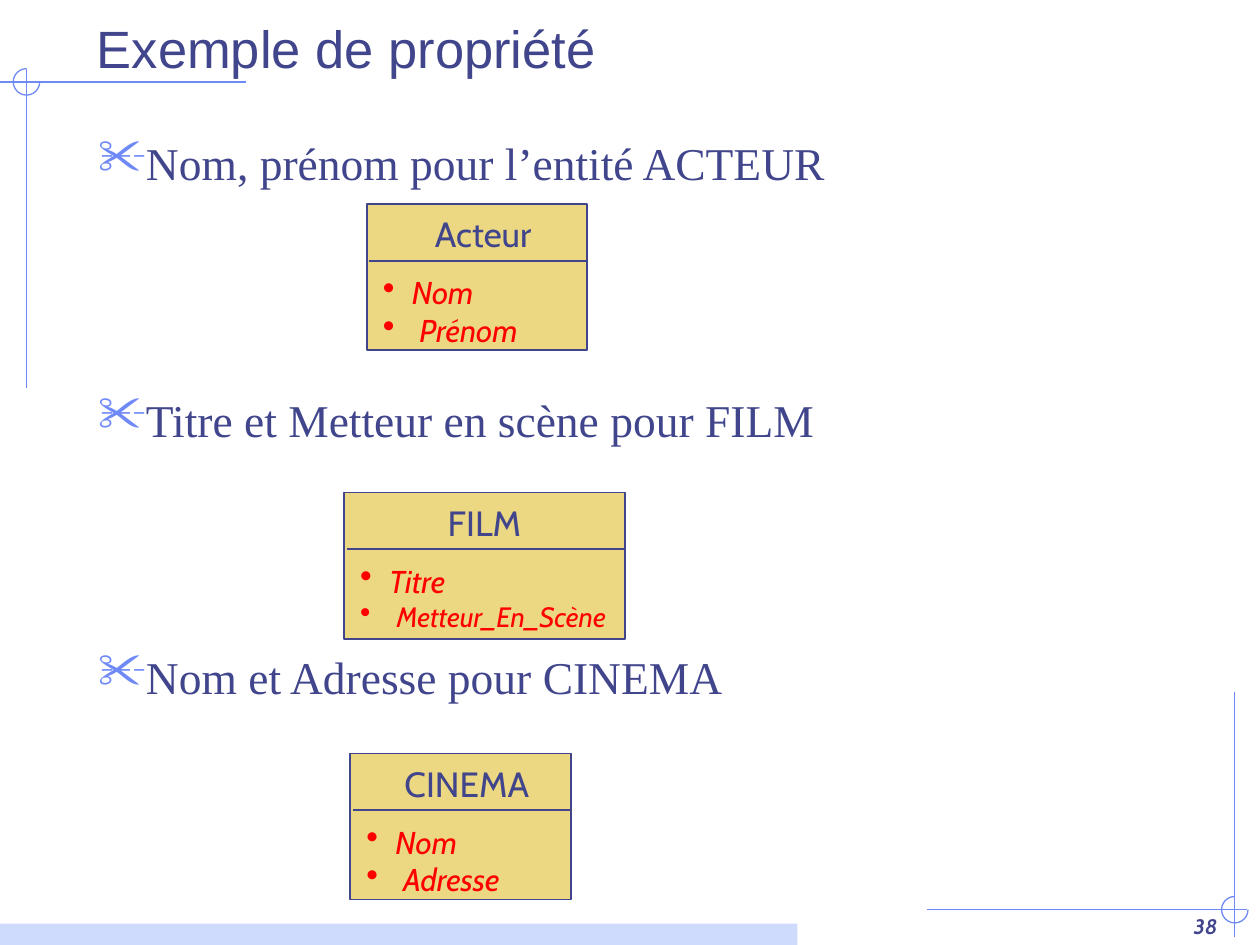
from lxml import etree
from pptx import Presentation
from pptx.dml.color import RGBColor
from pptx.enum.shapes import MSO_CONNECTOR, MSO_SHAPE
from pptx.enum.text import MSO_ANCHOR, PP_ALIGN
from pptx.oxml.ns import qn
from pptx.util import Inches, Pt

STRAIGHT = MSO_CONNECTOR.STRAIGHT
RECTANGLE, ARC = MSO_SHAPE.RECTANGLE, MSO_SHAPE.ARC
TOP, BOTTOM = MSO_ANCHOR.TOP, MSO_ANCHOR.BOTTOM
LEFT, CENTER, RIGHT = PP_ALIGN.LEFT, PP_ALIGN.CENTER, PP_ALIGN.RIGHT

COLUMNS, ROWS = 100, 75
CELL = 0.1  # inches per grid cell, both ways


def grid(*cells):
    return [Inches(cell * CELL) for cell in cells]


def color(hex_value):
    return RGBColor.from_string(hex_value)


def add_bullet(paragraph, character, hex_value, margin):
    """Hang a bullet at the left edge, with the text starting at margin (in cells)."""
    properties = paragraph._p.get_or_add_pPr()
    indent = grid(margin)[0]
    properties.set("marL", str(indent))
    properties.set("indent", str(-indent))
    bullet_color = etree.SubElement(properties, qn("a:buClr"))
    etree.SubElement(bullet_color, qn("a:srgbClr")).set("val", hex_value)
    etree.SubElement(properties, qn("a:buSzPct")).set("val", "110000")
    etree.SubElement(properties, qn("a:buChar")).set("char", character)


def write(paragraph, text, font="Cabin", size=18, hex_value="40458C",
          bold=False, italic=False, align=LEFT, before=0):
    paragraph.alignment = align
    paragraph.space_before = Pt(before)
    run = paragraph.add_run()
    run.text = text
    run.font.name = font
    run.font.size = Pt(size)
    run.font.bold = bold
    run.font.italic = italic
    run.font.color.rgb = color(hex_value)


class EntitySlide:
    INK, ACCENT, BAND = "40458C", "6F89F7", "CFDBFD"
    CARD, ATTRIBUTE = "ECD882", "FF0000"
    CARD_HEIGHT, NAME_HEIGHT = 11.6, 4.5

    def __init__(self, presentation):
        self.slide = presentation.slides.add_slide(presentation.slide_layouts[6])

    def line(self, x1, y1, x2, y2, hex_value, width):
        connector = self.slide.shapes.add_connector(STRAIGHT, *grid(x1, y1, x2, y2))
        connector.line.color.rgb = color(hex_value)
        connector.line.width = Pt(width)
        etree.SubElement(connector._element.spPr, qn("a:effectLst"))

    def shape(self, kind, x, y, width, height, fill=None, line=None, line_width=1):
        shape = self.slide.shapes.add_shape(kind, *grid(x, y, width, height))
        shape.shadow.inherit = False
        if fill:
            shape.fill.solid()
            shape.fill.fore_color.rgb = color(fill)
        else:
            shape.fill.background()
        if line:
            shape.line.color.rgb = color(line)
            shape.line.width = Pt(line_width)
        else:
            shape.line.fill.background()
        return shape

    def text_frame(self, x, y, width, height, anchor=TOP):
        box = self.slide.shapes.add_textbox(*grid(x, y, width, height))
        box.text_frame.word_wrap = True
        box.text_frame.vertical_anchor = anchor
        return box.text_frame

    def label(self, x, y, width, height, text, anchor=TOP, **text_format):
        frame = self.text_frame(x, y, width, height, anchor)
        write(frame.paragraphs[0], text, **text_format)

    def bullets(self, x, y, width, height, items, character, hex_value):
        """Each item is (text, margin in cells, text format)."""
        frame = self.text_frame(x, y, width, height)
        for index, (text, margin, text_format) in enumerate(items):
            paragraph = frame.add_paragraph() if index else frame.paragraphs[0]
            write(paragraph, text, **text_format)
            add_bullet(paragraph, character, hex_value, margin)

    def corner(self, x, y, horizontal, vertical):
        """Two crossing rules with a three-quarter circle around (x, y)."""
        radius = 1.05
        self.line(horizontal[0], y, horizontal[1], y, self.ACCENT, 0.75)
        self.line(x, vertical[0], x, vertical[1], self.ACCENT, 0.75)
        arc = self.shape(ARC, x - radius, y - radius, 2 * radius, 2 * radius,
                         line=self.ACCENT, line_width=0.75)
        arc.adjustments[0] = 0
        arc.adjustments[1] = 162  # 270 degrees

    def card(self, x, y, width, name, attributes, name_shift=0.5):
        """An entity box; attributes are (text, size) pairs."""
        divider = y + self.NAME_HEIGHT
        self.shape(RECTANGLE, x, y, width, self.CARD_HEIGHT, self.CARD, self.INK)
        self.line(x + 0.2, divider, x + width, divider, self.INK, 1)
        self.label(x + name_shift, y + 0.2, width, 4.3, name, size=20, align=CENTER)
        items = [
            (text, 2.3 + 0.6 * index,
             {"size": size, "italic": True, "hex_value": self.ATTRIBUTE})
            for index, (text, size) in enumerate(attributes)
        ]
        self.bullets(x + 0.3, divider + 0.5, width + 2, 7, items, "•", self.ATTRIBUTE)


def main():
    presentation = Presentation()
    presentation.slide_width, presentation.slide_height = grid(COLUMNS, ROWS)
    page = EntitySlide(presentation)

    page.corner(2.1, 6.5, horizontal=(0, 19.5), vertical=(5.5, 30.8))
    page.corner(98, 72.2, horizontal=(73.6, 99), vertical=(54.9, 74.4))
    page.shape(RECTANGLE, 0, 73.3, 63.3, 1.7, page.BAND)
    page.label(76.8, 70, 20.8, 5, "38", BOTTOM,
               size=12, bold=True, italic=True, align=RIGHT)
    page.label(6.7, 0.1, 90.8, 6.7, "Exemple de propriété", BOTTOM,
               font="Arial", size=30)

    headings = ["Nom, prénom pour l’entité ACTEUR",
                "Titre et Metteur en scène pour FILM",
                "Nom et Adresse pour CINEMA"]
    items = [
        (heading, 3.8, {"font": "Times New Roman", "size": 26,
                        "before": 115.7 if index else 0})
        for index, heading in enumerate(headings)
    ]
    page.bullets(6.8, 10.2, 80, 60.1, items, "✂", page.ACCENT)

    page.card(29.1, 16.2, 17.5, "Acteur", [("Nom", 18), ("Prénom", 18)])
    page.card(27.8, 59.8, 17.5, "CINEMA", [("Nom", 18), ("Adresse", 18)])
    page.card(27.3, 39.1, 22.3, "FILM", [("Titre", 18), ("Metteur_En_Scène", 16)],
              name_shift=0)
    presentation.save("out.pptx")


if __name__ == "__main__":
    main()
